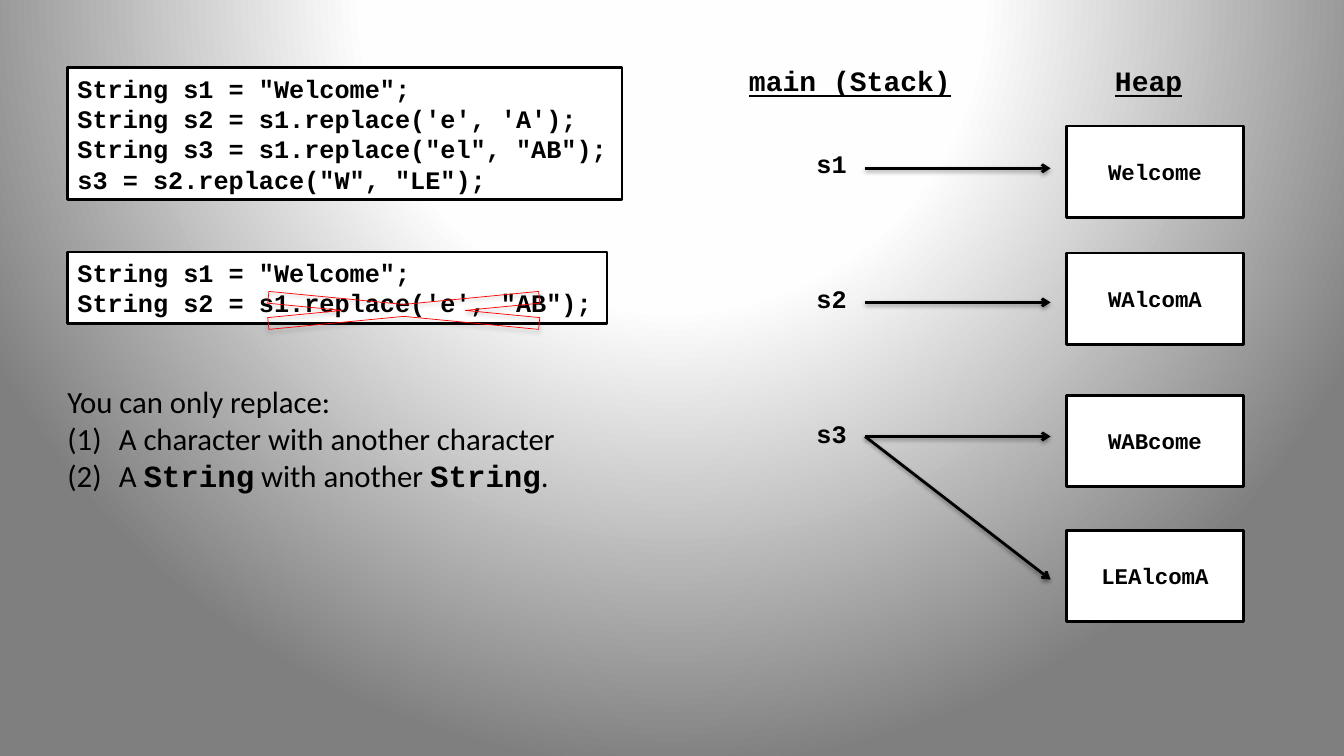
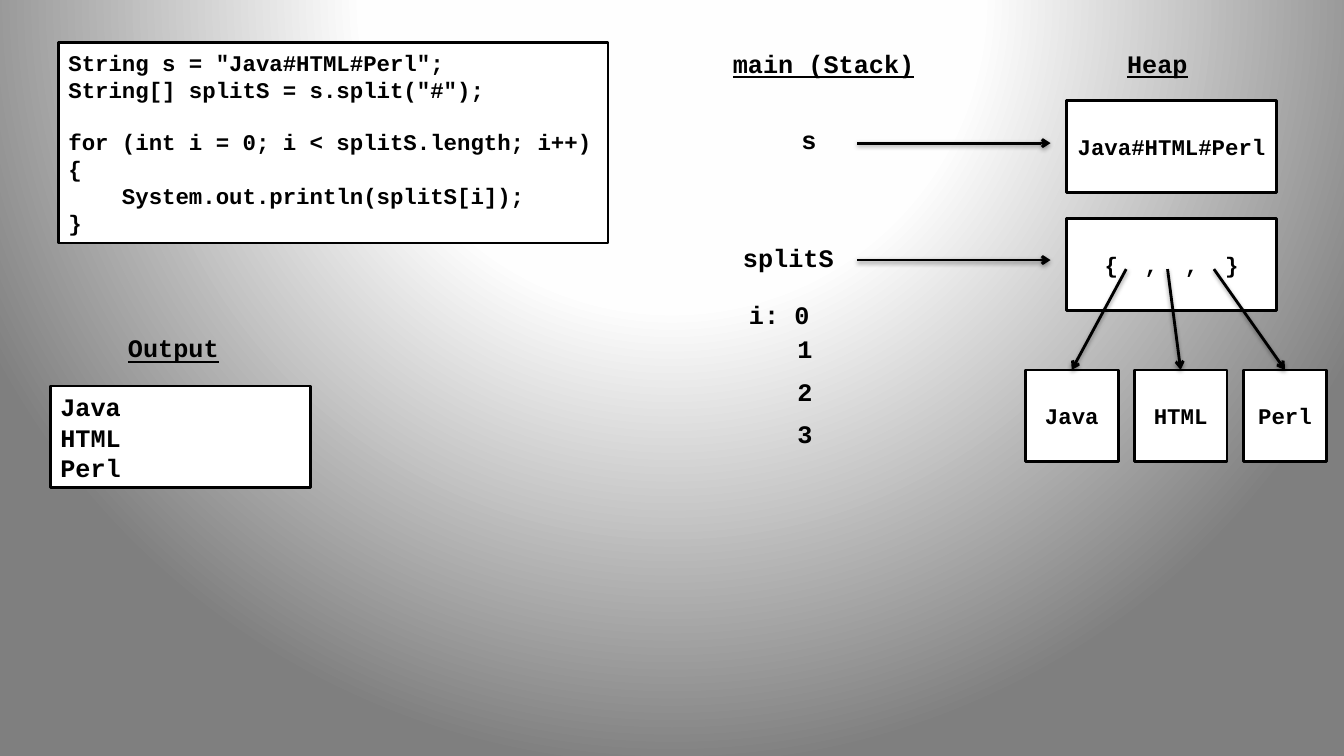
"""Build two slides on String methods, each tracing the stack and the heap."""
import pptx
import pptx.dml.color
import pptx.enum.shapes
import pptx.enum.text
import pptx.oxml
import pptx.oxml.ns
import pptx.util
from pptx.util import Inches

COLORS = {"ink": "000000", "paper": "FFFFFF", "near_white": "FEFEFE", "edge": "7F7F7F", "cross": "FF0000"}
CODE_FONT = "Courier New"
TEXT_FONT = "Calibri"
NAMESPACE = pptx.oxml.ns.nsdecls("a")
BACKGROUND = f"""<a:gradFill {NAMESPACE} rotWithShape="1"><a:gsLst>
<a:gs pos="0"><a:srgbClr val="{COLORS['paper']}"/></a:gs>
<a:gs pos="40000"><a:srgbClr val="{COLORS['near_white']}"/></a:gs>
<a:gs pos="100000"><a:srgbClr val="{COLORS['edge']}"/></a:gs></a:gsLst>
<a:path path="circle"><a:fillToRect l="50000" t="-80000" r="50000" b="180000"/></a:path></a:gradFill>"""
SHADOW = f"""<a:effectLst {NAMESPACE}>
<a:outerShdw blurRad="40000" dist="20000" dir="5400000" rotWithShape="0">
<a:srgbClr val="{COLORS['ink']}"><a:alpha val="38000"/></a:srgbClr></a:outerShdw></a:effectLst>"""


def add_text(slide, text, left, top, width, height, boxed=False, centered=False,
             size=18, font=CODE_FONT, bold=True, underline=False):
    place = Inches(left), Inches(top), Inches(width), Inches(height)
    if boxed:
        shape = slide.shapes.add_shape(pptx.enum.shapes.MSO_SHAPE.RECTANGLE, *place)
        shape.shadow.inherit = False
        shape.fill.solid()
        shape.fill.fore_color.rgb = pptx.dml.color.RGBColor.from_string(COLORS["paper"])
        shape.line.color.rgb = pptx.dml.color.RGBColor.from_string(COLORS["ink"])
        shape.line.width = pptx.util.Pt(2)
    else:
        shape = slide.shapes.add_textbox(*place)
    frame = shape.text_frame
    frame.word_wrap = False
    frame.vertical_anchor = pptx.enum.text.MSO_ANCHOR.MIDDLE if boxed else pptx.enum.text.MSO_ANCHOR.TOP
    frame.text = text
    for paragraph in frame.paragraphs:
        paragraph.alignment = pptx.enum.text.PP_ALIGN.CENTER if centered else pptx.enum.text.PP_ALIGN.LEFT
        for run in paragraph.runs:
            run.font.name = font
            run.font.size = pptx.util.Pt(size)
            run.font.bold = bold
            run.font.underline = underline
            run.font.color.rgb = pptx.dml.color.RGBColor.from_string(COLORS["ink"])
    return shape


def add_arrow(slide, start_x, start_y, end_x, end_y):
    arrow = slide.shapes.add_connector(
        pptx.enum.shapes.MSO_CONNECTOR.STRAIGHT,
        Inches(start_x), Inches(start_y), Inches(end_x), Inches(end_y))
    arrow.line.color.rgb = pptx.dml.color.RGBColor.from_string(COLORS["ink"])
    arrow.line.width = pptx.util.Pt(2)
    arrow.line._get_or_add_ln().append(pptx.oxml.parse_xml(f'<a:tailEnd {NAMESPACE} type="arrow"/>'))
    arrow._element.spPr.append(pptx.oxml.parse_xml(SHADOW))


presentation = pptx.Presentation()
presentation.slide_width = Inches(13.33)
presentation.slide_height = Inches(7.5)
master = presentation.slide_master
master.background.fill.solid()
solid_fill = master.element.xpath("p:cSld/p:bg/p:bgPr/a:solidFill")[0]
solid_fill.getparent().replace(solid_fill, pptx.oxml.parse_xml(BACKGROUND))
blank_layout = presentation.slide_layouts[6]

slide = presentation.slides.add_slide(blank_layout)
add_text(slide, """String s1 = "Welcome";
String s2 = s1.replace('e', 'A');
String s3 = s1.replace("el", "AB");
s3 = s2.replace("W", "LE");""", 0.67, 0.67, 5.5, 1.31, boxed=True)
add_text(slide, "main (Stack)", 7.33, 0.58, 2.22, 0.44, size=20, underline=True)
add_text(slide, "Heap", 10.96, 0.58, 0.88, 0.44, size=20, underline=True)
for index, variable in enumerate(["s1", "s2", "s3"]):
    add_text(slide, variable, 8, 1.42 + 1.34 * index, 0.5, 0.4)
for value, top in [("Welcome", 1.25), ("WAlcomA", 2.51), ("WABcome", 3.92), ("LEAlcomA", 5.26)]:
    add_text(slide, value, 10.58, top, 1.75, 0.91, boxed=True, centered=True, size=16)
for start_y, end_y in [(1.67, 1.67), (3, 3), (4.33, 4.33), (4.33, 5.75)]:
    add_arrow(slide, 8.58, start_y, 10.42, end_y)

add_text(slide, """String s1 = "Welcome";
String s2 = s1.replace('e', "AB");""", 0.67, 2.5, 5.35, 0.71, boxed=True)
cross = slide.shapes.add_shape(
    pptx.enum.shapes.MSO_SHAPE.MATH_MULTIPLY, Inches(1.42), Inches(2.83), Inches(5.17), Inches(0.5))
cross.fill.background()
cross.line.color.rgb = pptx.dml.color.RGBColor.from_string(COLORS["cross"])
cross.line.width = pptx.util.Pt(0.5)
cross._element.spPr.append(pptx.oxml.parse_xml(SHADOW))

rules = add_text(slide, """You can only replace:
A character with another character
A String with another String.""", 0.57, 3.75, 5.12, 1.21, size=22, font=TEXT_FONT, bold=False)
for paragraph in rules.text_frame.paragraphs[1:]:
    properties = paragraph._p.get_or_add_pPr()
    properties.set("marL", str(Inches(0.51)))
    properties.set("indent", str(-Inches(0.51)))
    properties.append(pptx.oxml.parse_xml(f'<a:buAutoNum {NAMESPACE} type="arabicParenBoth"/>'))
string_rule = rules.text_frame.paragraphs[2]
string_rule.clear()
for text, is_code in [("A ", False), ("String", True), (" with another ", False), ("String", True), (".", False)]:
    run = string_rule.add_run()
    run.text = text
    run.font.name = CODE_FONT if is_code else TEXT_FONT
    run.font.size = pptx.util.Pt(22)
    run.font.bold = is_code
    run.font.color.rgb = pptx.dml.color.RGBColor.from_string(COLORS["ink"])

slide = presentation.slides.add_slide(blank_layout)
loop_code = add_text(slide, """String s = "Java#HTML#Perl";
String[] splitS = s.split("#");
for (int i = 0; i < splitS.length; i++)
{
    System.out.println(splitS[i]);
}""", 0.58, 0.42, 5.45, 1.99, boxed=True, size=16)
loop_code.text_frame.paragraphs[2].space_before = pptx.util.Pt(18)
for heading, left, top, width in [("main (Stack)", 7.17, 0.43, 2.02), ("Heap", 11.08, 0.43, 0.81),
                                  ("Output", 1.17, 3.25, 1.11)]:
    add_text(slide, heading, left, top, width, 0.4, underline=True)
add_text(slide, "Java\nHTML\nPerl", 0.5, 3.83, 2.58, 1.01, boxed=True)
for label, left, top, width in [("s", 7.85, 1.18, 0.35), ("splitS", 7.27, 2.35, 1.11), ("i: 0", 7.33, 2.92, 0.81)]:
    add_text(slide, label, left, top, width, 0.4)
for index, counter in enumerate(["1", "2", "3"]):
    add_text(slide, counter, 7.81, 3.26 + 0.42 * index, 0.35, 0.4)
for value, top, arrow_y in [("Java#HTML#Perl", 1, 1.42), ("{  ,  ,  }", 2.17, 2.58)]:
    add_text(slide, value, 10.58, top, 2.08, 0.91, boxed=True, centered=True, size=16)
    add_arrow(slide, 8.5, arrow_y, 10.42, arrow_y)
for value, left, width, slot_x in [("Java", 10.17, 0.92, 11.17), ("HTML", 11.25, 0.92, 11.58),
                                   ("Perl", 12.33, 0.83, 12.04)]:
    add_text(slide, value, left, 3.67, width, 0.91, boxed=True, centered=True, size=16)
    add_arrow(slide, slot_x, 2.67, left + width / 2, 3.67)

presentation.save("out.pptx")
